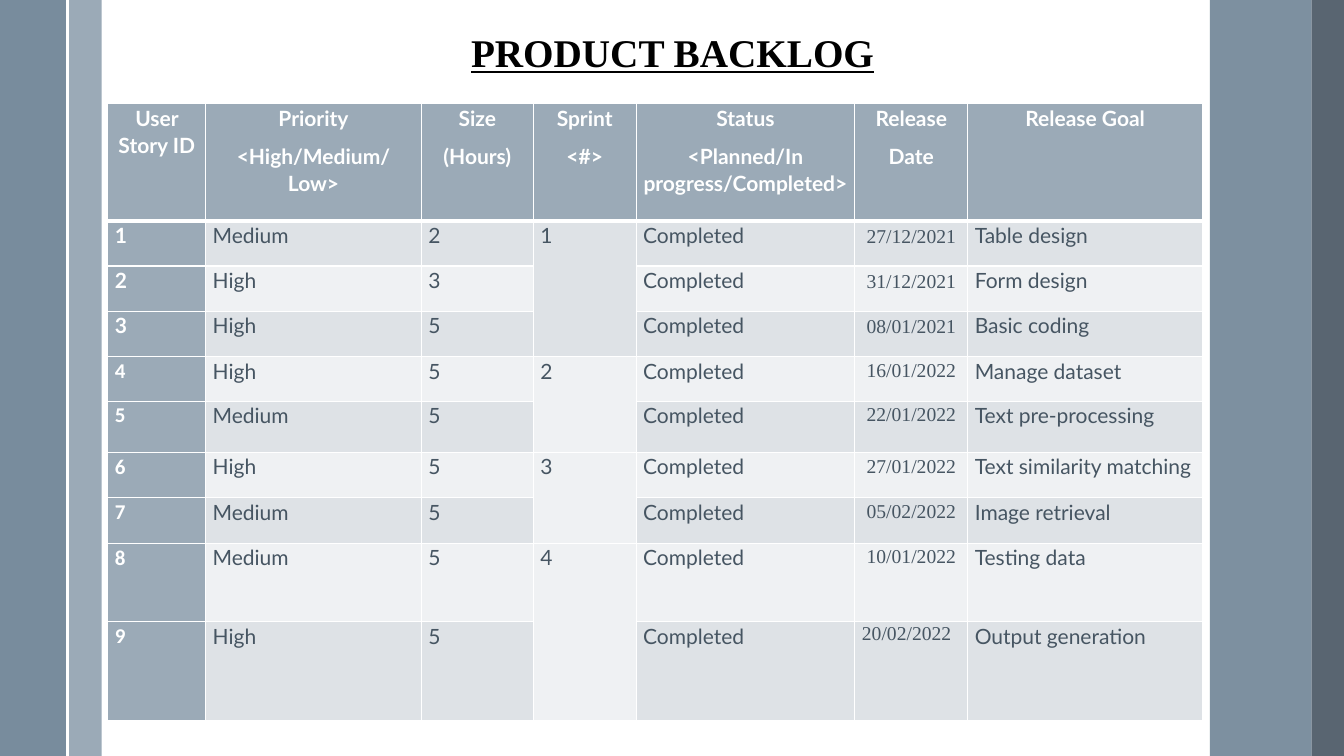
from lxml.etree import SubElement
from pptx import Presentation
from pptx.dml.color import RGBColor
from pptx.enum.shapes import MSO_CONNECTOR, MSO_SHAPE
from pptx.enum.text import MSO_ANCHOR, PP_ALIGN
from pptx.oxml.ns import qn
from pptx.util import Inches, Pt

WHITE = RGBColor(0xFF, 0xFF, 0xFF)
BLACK = RGBColor(0x00, 0x00, 0x00)
MIST = RGBColor(0x9B, 0xAA, 0xB7)
STEEL = RGBColor(0x6A, 0x80, 0x93)
SLATE = RGBColor(0x47, 0x55, 0x62)
TEXT = RGBColor(0x46, 0x55, 0x62)
BANDS = [RGBColor(0xDE, 0xE2, 0xE6), RGBColor(0xEF, 0xF1, 0xF3)]

SERIF = "Times New Roman"
SLIDE_WIDTH, SLIDE_HEIGHT = 13.33, 7.5
COLUMN_WIDTHS = [0.97, 2.14, 1.11, 1.02, 2.17, 1.12, 2.33]
ROW_HEIGHTS = [1.16, 0.45, 0.45, 0.45, 0.44, 0.51, 0.45, 0.45, 0.78, 0.98]
ID_COLUMN, SPRINT_COLUMN, DATE_COLUMN = 0, 3, 5
SPRINT_LENGTHS = [3, 2, 2, 2]

HEADINGS = [
    "User Story ID", "Priority\n<High/Medium/Low>", "Size\n(Hours)", "Sprint\n<#>",
    "Status\n<Planned/In progress/Completed>", "Release\nDate", "Release Goal",
]
STORIES = [
    ("Medium", 2, "27/12/2021", "Table design"),
    ("High", 3, "31/12/2021", "Form design"),
    ("High", 5, "08/01/2021", "Basic coding"),
    ("High", 5, "16/01/2022", "Manage dataset"),
    ("Medium", 5, "22/01/2022", "Text pre-processing"),
    ("High", 5, "27/01/2022", "Text similarity matching"),
    ("Medium", 5, "05/02/2022", "Image retrieval"),
    ("Medium", 5, "10/01/2022", "Testing data"),
    ("High", 5, "20/02/2022", "Output generation"),
]


def add_rail(slide, left, width, height, color, opacity=100):
    rail = slide.shapes.add_shape(
        MSO_SHAPE.RECTANGLE, Inches(left), 0, Inches(width), Inches(height))
    rail.shadow.inherit = False
    rail.line.fill.background()
    rail.fill.solid()
    rail.fill.fore_color.rgb = color
    if opacity < 100:
        color_element = rail._element.spPr.find(qn("a:solidFill"))[0]
        SubElement(color_element, qn("a:alpha"), val=str(opacity * 1000))


def add_side_rails(slide, width, height):
    add_rail(slide, 0.68, 0.33, height, MIST)
    add_rail(slide, 0, 0.67, height, STEEL, 90)
    divider = slide.shapes.add_connector(
        MSO_CONNECTOR.STRAIGHT, Inches(0.67), 0, Inches(0.67), Inches(height))
    divider.line.color.rgb = WHITE
    divider.line.width = Pt(1.5)
    SubElement(divider._element.spPr, qn("a:effectLst"))
    add_rail(slide, width - 1.33, 1.01, height, STEEL, 87)
    add_rail(slide, width - 0.32, 0.32, height, SLATE, 90)


def format_title(slide, left, top, width, height):
    title = slide.shapes.title
    title.left, title.top = Inches(left), Inches(top)
    title.width, title.height = Inches(width), Inches(height)
    title.text_frame.text = "PRODUCT BACKLOG"
    title.text_frame.vertical_anchor = MSO_ANCHOR.TOP
    paragraph = title.text_frame.paragraphs[0]
    paragraph.alignment = PP_ALIGN.CENTER
    paragraph.font.name = SERIF
    paragraph.font.size = Pt(28)
    paragraph.font.bold = True
    paragraph.font.underline = True
    paragraph.font.color.rgb = BLACK


def add_borders(cell, top=1, bottom=1):
    properties = cell._tc.get_or_add_tcPr()
    for side, points in (("lnL", 1), ("lnR", 1), ("lnT", top), ("lnB", bottom)):
        line = SubElement(properties, qn(f"a:{side}"), w=str(Pt(points)))
        fill = SubElement(line, qn("a:solidFill"))
        SubElement(fill, qn("a:srgbClr"), val=str(WHITE))


def format_cell(cell, text, fill, color, bold=False, font="Lato", size=15,
                alignment=PP_ALIGN.LEFT, spacing=1.07, after=8, margins=(0.07, 0)):
    cell.fill.solid()
    cell.fill.fore_color.rgb = fill
    cell.margin_left = cell.margin_right = Inches(margins[0])
    cell.margin_top = cell.margin_bottom = Inches(margins[1])
    cell.text_frame.text = text
    for paragraph in cell.text_frame.paragraphs:
        paragraph.alignment = alignment
        paragraph.line_spacing = spacing
        paragraph.space_after = Pt(after)
        paragraph.font.name = font
        paragraph.font.size = Pt(size)
        paragraph.font.bold = bold
        paragraph.font.color.rgb = color


def date_style(row):
    style = {"font": SERIF, "size": 14}
    if row < len(STORIES):
        style.update(alignment=PP_ALIGN.CENTER, after=0, spacing=1.15)
    if row <= 3:
        style.update(spacing=1.0, margins=(0.11, 0.05))
    return style


def fill_story(table, row, story):
    priority, hours, date, goal = story
    values = [str(row), priority, str(hours), "", "Completed", date, goal]
    band = BANDS[(row - 1) % 2]
    for column, value in enumerate(values):
        cell = table.cell(row, column)
        add_borders(cell, top=3 if row == 1 else 1)
        if column == ID_COLUMN:
            font = "Lato" if row <= 3 else "Calibri"
            format_cell(cell, value, MIST, WHITE, bold=True, font=font)
        elif column == DATE_COLUMN:
            format_cell(cell, value, band, TEXT, **date_style(row))
        else:
            format_cell(cell, value, band, TEXT)


def merge_sprints(table):
    row = 1
    for sprint, length in enumerate(SPRINT_LENGTHS, start=1):
        cell = table.cell(row, SPRINT_COLUMN)
        cell.merge(table.cell(row + length - 1, SPRINT_COLUMN))
        format_cell(cell, str(sprint), BANDS[(row - 1) % 2], TEXT)
        row += length


def add_backlog(slide, left, top):
    frame = slide.shapes.add_table(
        len(ROW_HEIGHTS), len(COLUMN_WIDTHS), Inches(left), Inches(top),
        Inches(sum(COLUMN_WIDTHS)), Inches(sum(ROW_HEIGHTS)))
    table = frame.table
    table.horz_banding = False
    for column, width in zip(table.columns, COLUMN_WIDTHS):
        column.width = Inches(width)
    for row, height in zip(table.rows, ROW_HEIGHTS):
        row.height = Inches(height)
    for column, heading in enumerate(HEADINGS):
        cell = table.cell(0, column)
        add_borders(cell, bottom=3)
        format_cell(cell, heading, MIST, WHITE, bold=True, alignment=PP_ALIGN.CENTER)
    for row, story in enumerate(STORIES, start=1):
        fill_story(table, row, story)
    merge_sprints(table)


def main():
    presentation = Presentation()
    presentation.slide_width = Inches(SLIDE_WIDTH)
    presentation.slide_height = Inches(SLIDE_HEIGHT)
    slide = presentation.slides.add_slide(presentation.slide_layouts[5])
    add_side_rails(slide, SLIDE_WIDTH, SLIDE_HEIGHT)
    format_title(slide, 3.81, 0.23, 5.72, 0.57)
    add_backlog(slide, 1.07, 1.03)
    presentation.save("out.pptx")


if __name__ == "__main__":
    main()
